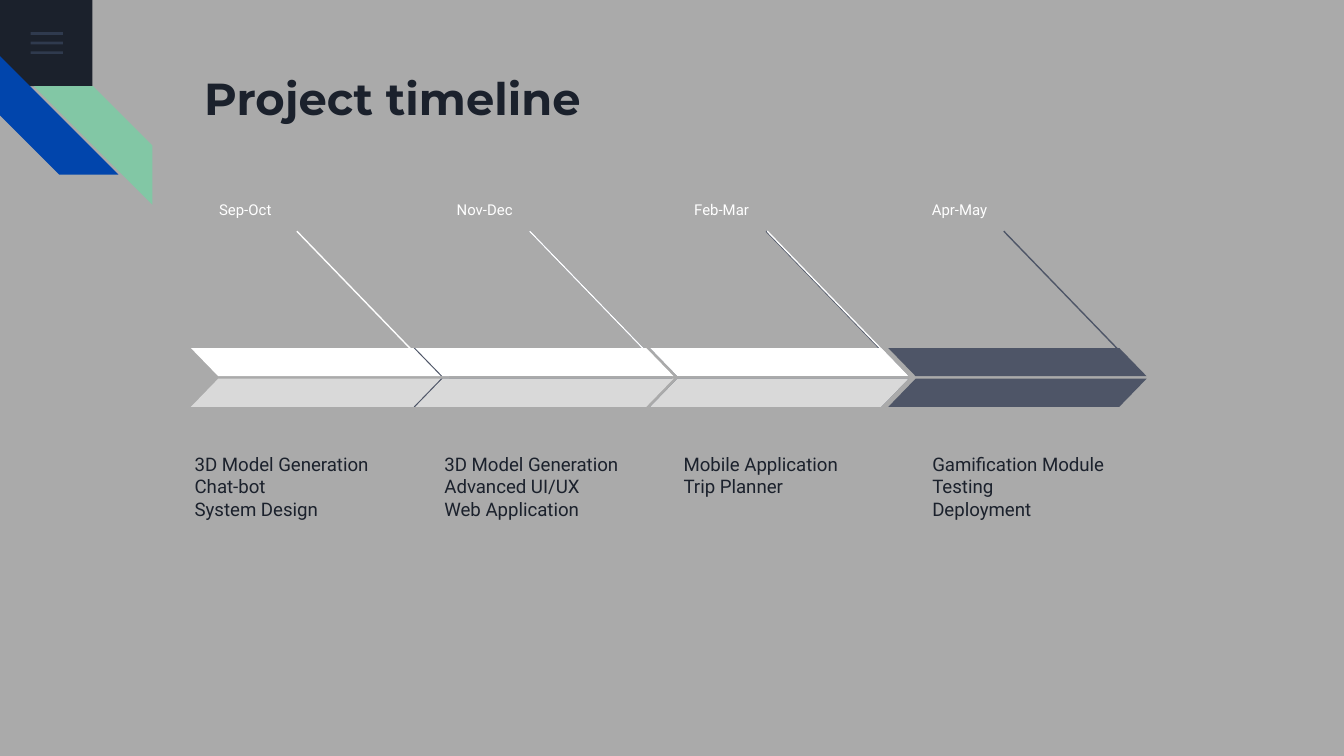
from collections import namedtuple

from lxml.etree import SubElement
from pptx import Presentation
from pptx.dml.color import RGBColor
from pptx.enum.shapes import MSO_CONNECTOR as Line, MSO_SHAPE as Preset
from pptx.enum.text import MSO_ANCHOR as Anchor
from pptx.oxml.ns import qn
from pptx.util import Cm, Pt

Box = namedtuple("Box", "left top width height")
INK, WHITE, PALE, SLATE = "1B212C", "FFFFFF", "D9D9D9", "4E5567"
INSET = Cm(0.25)

DATES = ["Sep-Oct", "Nov-Dec", "Feb-Mar", "Apr-May"]
# Left, top and lines of each list of tasks, within the timeline
TASKS = [
    (0, 4.8, ["3D Model Generation", "Chat-bot", "System Design"]),
    (4.72, 4.8, ["3D Model Generation", "Advanced UI/UX", "Web Application"]),
    (9.24, 4.37, ["Mobile Application", "Trip Planner"]),
    (13.94, 4.8, ["Gamification Module", "Testing", "Deployment"]),
]
# Arrow left, pointer left, upper, lower and pointer colours, back to front
STAGES = [
    (0.18, 2.18, WHITE, PALE, WHITE),
    (4.39, 6.58, SLATE, SLATE, SLATE),
    (8.86, 11.05, SLATE, SLATE, SLATE),
    (13.36, 15.54, SLATE, SLATE, SLATE),
    (4.42, 6.58, WHITE, PALE, WHITE),
    (8.86, 11.07, WHITE, PALE, WHITE),
]


def color(value):
    return RGBColor.from_string(value)


def within(box, left, top, width, height):
    return Box(box.left + left, box.top + top, width, height)


def add_filled(page, preset, box, fill, adjust=None, flip=False):
    shape = page.shapes.add_shape(preset, *map(Cm, box))
    shape.shadow.inherit = False
    shape.fill.solid()
    shape.fill.fore_color.rgb = color(fill)
    shape.line.fill.background()
    if adjust is not None:
        shape.adjustments[0] = adjust
    if flip:
        shape._element.spPr.get_or_add_xfrm().set("flipH", "1")
    return shape


def add_text(page, box, lines, size, ink, font="Roboto", bold=False, anchor=Anchor.TOP):
    frame = page.shapes.add_textbox(*map(Cm, box)).text_frame
    frame.word_wrap = True
    frame.vertical_anchor = anchor
    frame.margin_left = frame.margin_right = INSET
    frame.margin_top = frame.margin_bottom = INSET
    for index, line in enumerate(lines):
        para = frame.paragraphs[0] if index == 0 else frame.add_paragraph()
        para.text = line
        para.font.name = font
        para.font.size = Pt(size)
        para.font.bold = bold
        para.font.color.rgb = color(ink)


def add_pointer(page, box, ink):
    line = page.shapes.add_connector(
        Line.STRAIGHT, Cm(box.left), Cm(box.top),
        Cm(box.left + box.width), Cm(box.top + box.height))
    line.line.color.rgb = color(ink)
    line.line.width = Pt(0.75)
    SubElement(line._element.spPr, qn("a:effectLst"))


def corner(page, box):
    # Dark tile with the menu mark
    add_filled(page, Preset.RECTANGLE, within(box, 0, 0, 1.75, 1.63), INK)
    for row in range(3):
        bar = add_filled(page, Preset.RECTANGLE,
                         within(box, 0.58, 0.61 + row * 0.18, 0.61, 0.05), "55688B")
        tint = bar._element.spPr.find(qn("a:solidFill"))[0]
        SubElement(tint, qn("a:alpha"), val="36000")
    # Diagonal stripes
    blue = add_filled(page, Preset.DIAGONAL_STRIPE,
                      within(box, 0, 1.06, 2.24, 2.24), "0145AC", 0.5)
    blue.rotation = 270
    add_filled(page, Preset.DIAGONAL_STRIPE,
               within(box, 0.64, 1.63, 2.24, 2.24), "82C7A5", 0.5, flip=True)


def timeline(page, box):
    # Dates
    for index, date in enumerate(DATES):
        add_text(page, within(box, 0.46 + index * 4.49, 0, 2.21, 0.89), [date], 8, WHITE)
    # Tasks
    for left, top, lines in TASKS:
        add_text(page, within(box, left, top, 4.67, 1.65), lines, 10, INK,
                 anchor=Anchor.BOTTOM)
    # Arrows, each of two mirrored halves, with a slanted pointer
    for left, pointer_left, upper, lower, ink in STAGES:
        add_pointer(page, within(box, pointer_left, 0.74, 2.63, 2.72), ink)
        for top, fill, flip in ((2.95, upper, True), (3.53, lower, False)):
            add_filled(page, Preset.PARALLELOGRAM,
                       within(box, left, top, 4.88, 0.53), fill, 0.97, flip)


def main():
    deck = Presentation()
    deck.slide_width, deck.slide_height = Cm(25.4), Cm(14.29)
    page = deck.slides.add_slide(deck.slide_layouts[6])
    page.background.fill.solid()
    page.background.fill.fore_color.rgb = color("AAAAAA")

    corner(page, Box(0, 0, 2.88, 3.87))
    add_text(page, Box(3.61, 1.09, 19.56, 2.54), ["Project timeline"], 24, INK,
             "Montserrat", bold=True)
    timeline(page, Box(3.43, 3.63, 18.61, 6.45))
    deck.save("out.pptx")


if __name__ == "__main__":
    main()
